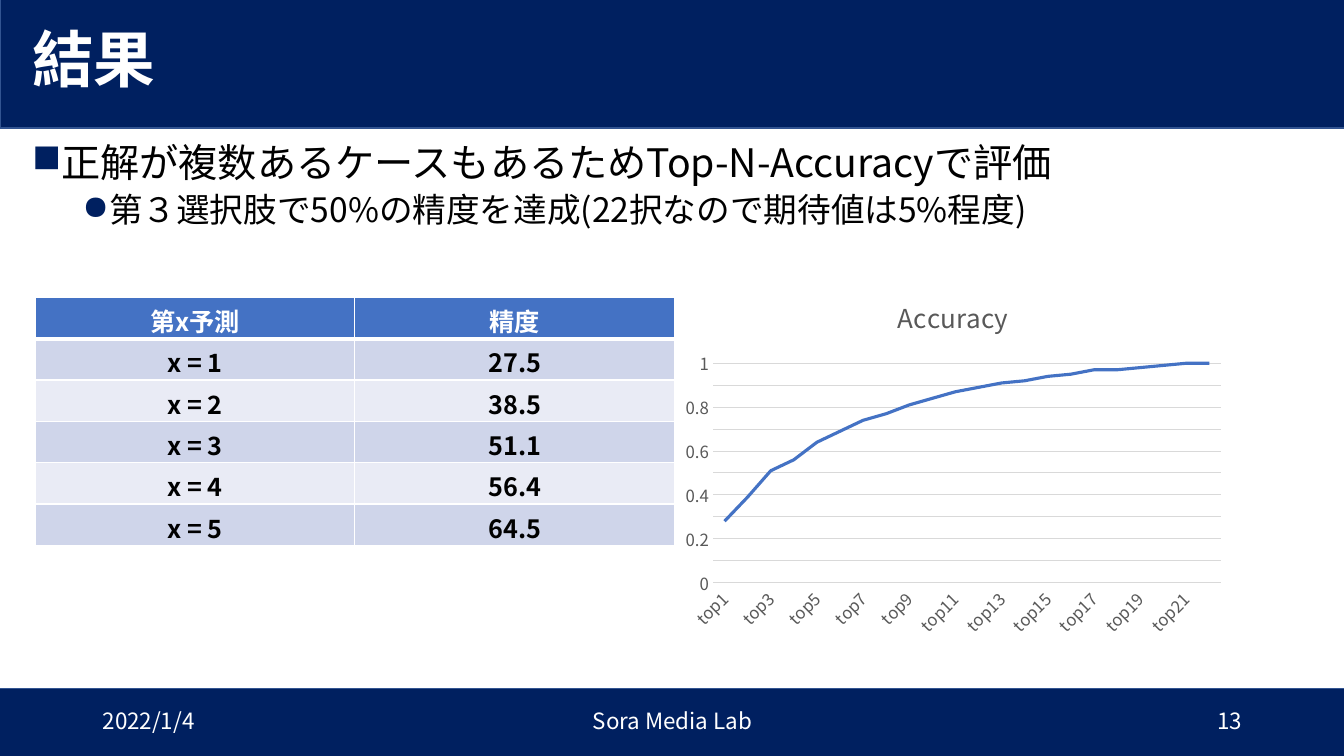
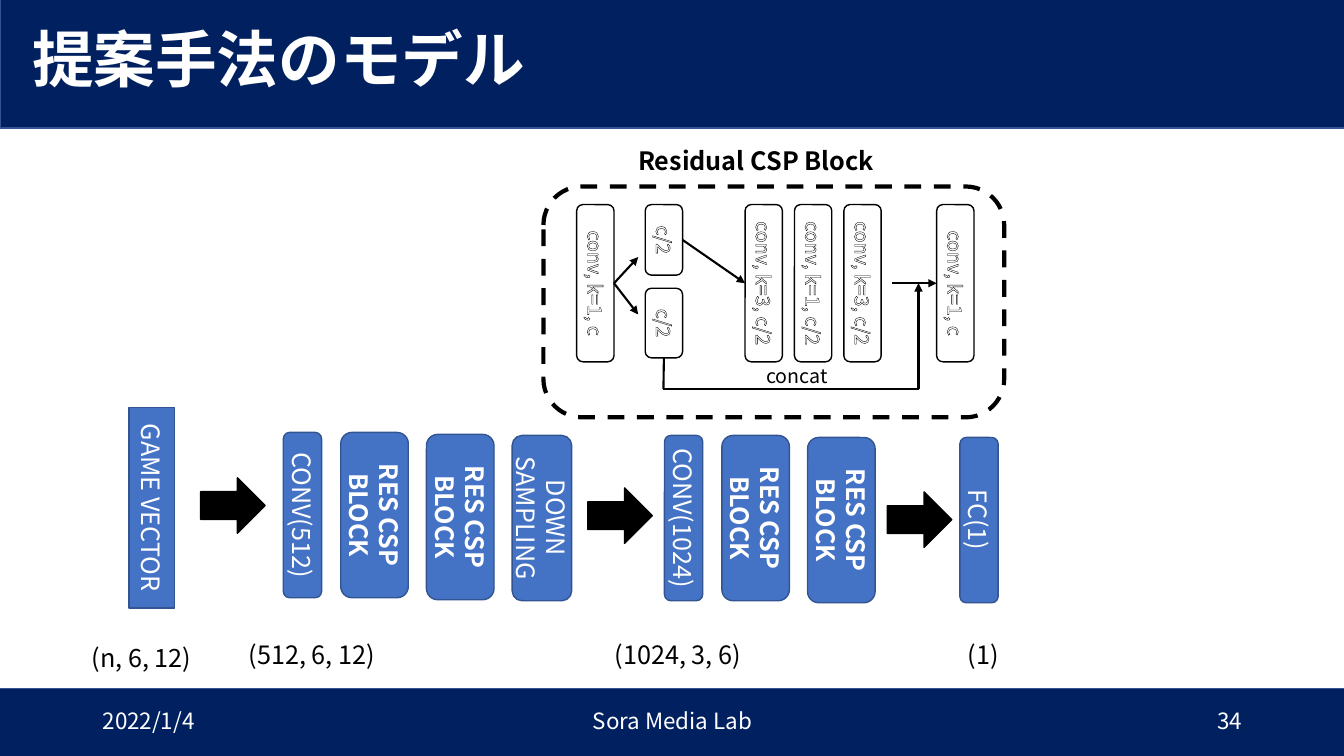
from lxml import etree
from pptx import Presentation
from pptx.chart.data import CategoryChartData
from pptx.dml.color import RGBColor
from pptx.enum.chart import XL_CHART_TYPE, XL_TICK_MARK
from pptx.enum.dml import MSO_LINE
from pptx.enum.shapes import MSO_CONNECTOR, MSO_SHAPE
from pptx.enum.text import MSO_ANCHOR, PP_ALIGN
from pptx.oxml import parse_xml
from pptx.oxml.ns import nsdecls, qn
from pptx.util import Inches, Pt

RECT, ROUND, ARROW = MSO_SHAPE.RECTANGLE, MSO_SHAPE.ROUNDED_RECTANGLE, MSO_SHAPE.RIGHT_ARROW
LEFT, CENTER, RIGHT = PP_ALIGN.LEFT, PP_ALIGN.CENTER, PP_ALIGN.RIGHT
MIDDLE, TOP = MSO_ANCHOR.MIDDLE, MSO_ANCHOR.TOP
STRAIGHT, NO_TICK = MSO_CONNECTOR.STRAIGHT, XL_TICK_MARK.NONE
BOTTOM_SIDE, LEFT_SIDE, RIGHT_SIDE = 2, 1, 3

FONT = "Noto Sans CJK JP"
HEX = {"navy": "002060", "edge": "325491", "blue": "4472C4", "odd": "CFD5EA", "even": "E9EBF5",
       "gray": "595959", "grid": "D9D9D9", "white": "FFFFFF", "black": "000000"}
COLOR = {name: RGBColor.from_string(value) for name, value in HEX.items()}


def write(para, text, color="black", align=LEFT, outline=False, **look):
    """Put one formatted run into a paragraph."""
    para.alignment = align
    span = para.add_run()
    span.text = text
    for name, value in {"name": FONT, **look}.items():
        setattr(span.font, name, value)
    span.font.color.rgb = COLOR[color]
    props = span.font._element
    props.find(qn("a:latin")).addnext(parse_xml(f'<a:ea {nsdecls("a")} typeface="{FONT}"/>'))
    if outline:
        props.insert(0, parse_xml(f'<a:ln {nsdecls("a")} w="9525"><a:solidFill>'
                                  f'<a:srgbClr val="{HEX["black"]}"/></a:solidFill></a:ln>'))


def add_box(page, at, kind=None, fill=None, line="black", width=1, anchor=MIDDLE, vertical=False):
    """Add a preset shape, or a text box when no kind is given."""
    place = [Inches(value) for value in at]
    if kind is None:
        box = page.shapes.add_textbox(*place)
    else:
        box = page.shapes.add_shape(kind, *place)
        box.shadow.inherit = False
        if fill:
            box.fill.solid()
            box.fill.fore_color.rgb = COLOR[fill]
        else:
            box.fill.background()
        box.line.color.rgb = COLOR[line]
        box.line.width = Pt(width)
    box.text_frame.word_wrap = True
    box.text_frame.vertical_anchor = anchor
    if vertical:
        box.text_frame._txBody.bodyPr.set("vert", "vert")
    return box


deck = Presentation()
deck.slide_width, deck.slide_height = Inches(13.33), Inches(7.5)

# Bands, title and footer of every slide
pages = []
for title, number in [("結果", "13"), ("提案手法のモデル", "34")]:
    page = deck.slides.add_slide(deck.slide_layouts[6])
    pages.append(page)
    for band in [(-0.01, 6.83, 13.39, 0.73), (0, -0.02, 13.39, 1.29)]:
        add_box(page, band, RECT, "navy", "edge")
    heading = add_box(page, (0.22, 0.09, 12.94, 1.07)).text_frame.paragraphs[0]
    heading.line_spacing = 0.9
    write(heading, title, "white", size=Pt(44), bold=True)
    for left, width, text, align in [(0.92, 3, "2022/1/4", LEFT),
                                     (4.42, 4.5, "Sora Media Lab", CENTER),
                                     (9.42, 3, number, RIGHT)]:
        footer = add_box(page, (left, 6.95, width, 0.4))
        write(footer.text_frame.paragraphs[0], text, "white", align, size=Pt(16))
results, model = pages

# Results: bullets
frame = add_box(results, (0.22, 1.38, 12.94, 1.3), anchor=TOP).text_frame
bullets = [("■", "正解が複数あるケースもあるためTop-N-Accuracyで評価", 28, 0.25, 10),
           ("●", "第３選択肢で50%の精度を達成(22択なので期待値は5%程度)", 24, 0.75, 5)]
for level, (mark, text, size, indent, before) in enumerate(bullets):
    para = frame.add_paragraph() if level else frame.paragraphs[0]
    para.level, para.line_spacing, para.space_before = level, 0.9, Pt(before)
    write(para, text, size=Pt(size))
    props = para._p.get_or_add_pPr()
    props.set("marL", str(Inches(indent)))
    props.set("indent", str(Inches(-0.25)))
    props.append(parse_xml(f'<a:buClr {nsdecls("a")}><a:srgbClr val="{HEX["navy"]}"/></a:buClr>'))
    props.append(parse_xml(f'<a:buChar {nsdecls("a")} char="{mark}"/>'))

# Results: accuracy table
rows = [("第x予測", "精度"), ("x = 1", "27.5"), ("x = 2", "38.5"), ("x = 3", "51.1"),
        ("x = 4", "56.4"), ("x = 5", "64.5")]
table = results.shapes.add_table(len(rows), 2, Inches(0.35), Inches(2.95),
                                 Inches(6.34), Inches(2.43)).table
for row_index, row in enumerate(rows):
    table.rows[row_index].height = Inches(0.41)
    fill = "blue" if row_index == 0 else "odd" if row_index % 2 else "even"
    for column, text in enumerate(row):
        cell = table.cell(row_index, column)
        cell.fill.solid()
        cell.fill.fore_color.rgb = COLOR[fill]
        write(cell.text_frame.paragraphs[0], text, "black" if row_index else "white", CENTER,
              size=Pt(18), bold=True)
        for order, side in enumerate("LRTB"):
            thick = (row_index, side) in [(0, "B"), (1, "T")]
            cell._tc.get_or_add_tcPr().insert(order, parse_xml(
                f'<a:ln{side} {nsdecls("a")} w="{Pt(3 if thick else 1)}"><a:solidFill>'
                f'<a:srgbClr val="{HEX["white"]}"/></a:solidFill></a:ln{side}>'))

# Results: accuracy chart
data = CategoryChartData()
data.categories = [f"top{rank}" for rank in range(1, 23)]
data.add_series("Accuracy", [0.28, 0.39, 0.51, 0.56, 0.64, 0.69, 0.74, 0.77, 0.81, 0.84, 0.87,
                             0.89, 0.91, 0.92, 0.94, 0.95, 0.97, 0.97, 0.98, 0.99, 1, 1])
chart = results.shapes.add_chart(XL_CHART_TYPE.LINE, Inches(6.69), Inches(2.75),
                                 Inches(5.53), Inches(3.64), data).chart
chart.font.name, chart.font.size = FONT, Pt(10)
chart.has_legend = False
chart.has_title = True
write(chart.chart_title.text_frame.paragraphs[0], "Accuracy", "gray", CENTER,
      size=Pt(18.6), bold=False)
chart.plots[0].vary_by_categories = False
curve = chart.plots[0].series[0]
curve.smooth = False
curve.format.line.color.rgb = COLOR["blue"]
curve.format.line.width = Pt(2.25)
ranks, values = chart.category_axis, chart.value_axis
for axis in (ranks, values):
    axis.major_tick_mark = axis.minor_tick_mark = NO_TICK
    for name, value in {"name": FONT, "size": Pt(12)}.items():
        setattr(axis.tick_labels.font, name, value)
    axis.tick_labels.font.color.rgb = COLOR["gray"]
values.minimum_scale, values.maximum_scale, values.major_unit = 0, 1, 0.1
values.format.line.fill.background()
for line in (ranks.format.line, values.major_gridlines.format.line):
    line.color.rgb = COLOR["grid"]
    line.width = Pt(0.75)
ranks._element.find(qn("c:txPr")).find(qn("a:bodyPr")).set("rot", "-2700000")

# Model: main flow
RES = "RES CSP BLOCK"
stages = [(1.28, 4.04, 0.45, "GAME VECTOR"), (2.81, 4.29, 0.38, "CONV(512)"),
          (3.38, 4.29, 0.67, RES), (4.23, 4.31, 0.67, RES), (5.08, 4.32, 0.59, "DOWN SAMPLING"),
          (6.59, 4.32, 0.38, "CONV(1024)"), (7.16, 4.32, 0.67, RES), (8.01, 4.34, 0.67, RES),
          (9.52, 4.34, 0.38, "FC(1)")]
for index, (left, top, width, text) in enumerate(stages):
    kind, height = (ROUND, 1.64) if index else (RECT, 1.99)
    stage = add_box(model, (left, top, width, height), kind, "blue", "edge", vertical=True)
    write(stage.text_frame.paragraphs[0], text, "white", CENTER, size=Pt(18), bold=text == RES)
for left, top in [(1.99, 4.74), (5.83, 4.84), (8.8, 4.88)]:
    add_box(model, (left, top, 0.64, 0.55), ARROW, "black")

# Model: frame of the residual block
border = add_box(model, (5.39, 1.85, 4.57, 2.29), ROUND, width=3)
border.line.dash_style = MSO_LINE.DASH

# Model: captions
for left, top, width, text, size in [(0.81, 6.32, 1.56, "(n, 6, 12)", 18),
                                     (2.37, 6.29, 1.56, "(512, 6, 12)", 18),
                                     (6, 6.29, 1.56, "(1024, 3, 6)", 18),
                                     (9.5, 6.29, 1.56, "(1)", 18),
                                     (6.23, 1.39, 2.68, "Residual CSP Block", 18),
                                     (7.5, 3.56, 0.86, "concat", 14)]:
    caption = add_box(model, (left, top, width, 0.4), anchor=TOP)
    write(caption.text_frame.paragraphs[0], text, size=Pt(size), bold=text.startswith("Residual"))

# Model: layers inside the residual block
layers = []
for left, top, height, text in [(5.72, 2.03, 1.56, "conv, k=1, c"), (6.4, 2.03, 0.7, "c/2"),
                                (6.4, 2.86, 0.69, "c/2"), (7.39, 2.03, 1.56, "conv, k=3, c/2"),
                                (7.88, 2.03, 1.56, "conv, k=1, c/2"),
                                (8.37, 2.03, 1.56, "conv, k=3, c/2"),
                                (9.29, 2.03, 1.56, "conv, k=1, c")]:
    layer = add_box(model, (left, top, 0.37, height), ROUND, vertical=True)
    write(layer.text_frame.paragraphs[0], text, "white", CENTER, outline=True, size=Pt(14))
    layers.append(layer)
split, upper, lower, first, _, _, merge = layers

# Model: links, with the joined layer and side at either end
for start, end, source, target, arrow in [
        ((6.09, 2.81), (6.33, 2.55), (split, RIGHT_SIDE), None, True),
        ((6.09, 2.81), (6.33, 3.12), (split, RIGHT_SIDE), None, True),
        ((6.77, 2.38), (7.39, 2.81), (upper, RIGHT_SIDE), (first, LEFT_SIDE), True),
        ((8.85, 2.81), (9.29, 2.81), None, (merge, LEFT_SIDE), True),
        ((6.58, 3.55), (6.58, 3.86), (lower, BOTTOM_SIDE), None, False),
        ((6.58, 3.86), (9.11, 3.86), None, None, False),
        ((9.11, 3.86), (9.11, 2.81), None, None, True)]:
    link = model.shapes.add_connector(STRAIGHT, *[Inches(value) for value in start + end])
    link.line.color.rgb = COLOR["black"]
    link.line.width = Pt(1.5)
    if source:
        link.begin_connect(*source)
    if target:
        link.end_connect(*target)
    if arrow:
        etree.SubElement(link.line._get_or_add_ln(), qn("a:tailEnd"), type="triangle")
    etree.SubElement(link._element.spPr, qn("a:effectLst"))

deck.save("out.pptx")
